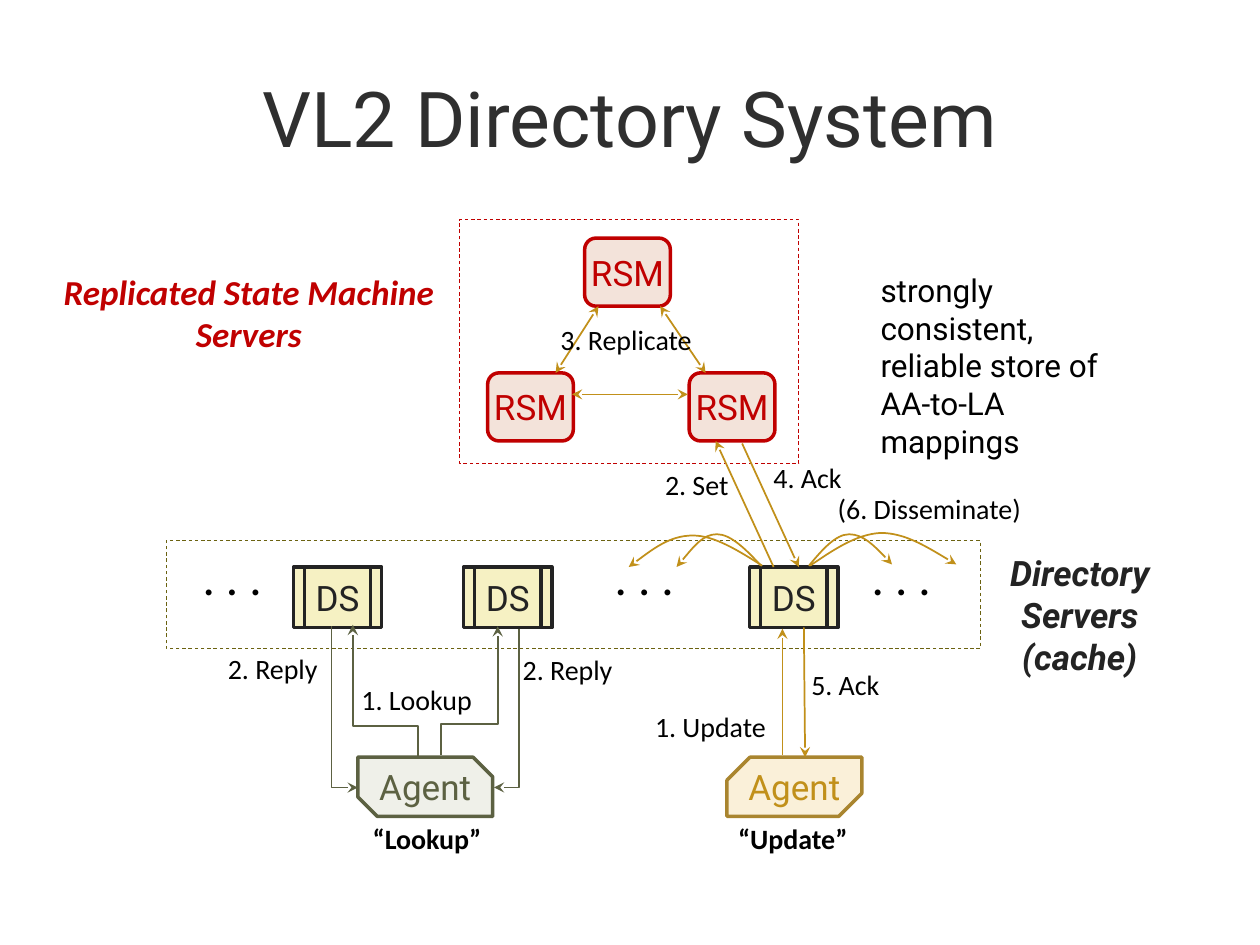
from lxml import etree
from pptx import Presentation
from pptx import util as u
from pptx.dml import color, line as dashes
from pptx.enum import dml, shapes, text
from pptx.oxml import ns

COLOURS = {
    "title": "2F2F2F", "black": "000000", "dark": "232323",
    "red": "C00000", "pink": "F3E3DA", "yellow": "F6F1C3",
    "olive": "6B6210", "green": "5C6142", "pale_green": "EFF0E9",
    "gold": "C1901A", "dark_gold": "A9852F", "cream": "FAF0D9",
}
KINDS = shapes.MSO_SHAPE
LINKS = shapes.MSO_CONNECTOR
CENTRE = text.PP_ALIGN.CENTER
LEFT = text.PP_ALIGN.LEFT


class Diagram:
    def __init__(self, page):
        self.page = page

    def colour(self, name):
        return color.RGBColor.from_string(COLOURS[name])

    def set_wording(self, shape, wording, size, font, colour, align, bold=False, italic=False):
        shape.text_frame.text = wording
        for para in shape.text_frame.paragraphs:
            para.alignment = align
            for span in para.runs:
                span.font.size = u.Pt(size)
                span.font.name = font
                span.font.bold = bold
                span.font.italic = italic
                span.font.color.rgb = self.colour(colour)

    def label(self, wording, left, top, width, height=0.43, size=16, font="Calibri",
              colour="black", align=LEFT, bold=False, italic=False, wrap=False, middle=False):
        box = self.page.shapes.add_textbox(*map(u.Inches, (left, top, width, height)))
        box.text_frame.word_wrap = wrap
        if middle:
            box.text_frame.vertical_anchor = text.MSO_ANCHOR.MIDDLE
        self.set_wording(box, wording, size, font, colour, align, bold, italic)

    def stroke(self, shape, colour, width, head=False, tail=False):
        shape.line.color.rgb = self.colour(colour)
        shape.line.width = u.Pt(width)
        outline = shape.element.spPr.find(ns.qn("a:ln"))
        for tag, wanted in (("a:headEnd", head), ("a:tailEnd", tail)):
            if wanted:
                etree.SubElement(outline, ns.qn(tag), type="stealth")

    def node(self, kind, wording, left, top, width, height, fill, edge, ink, corners=()):
        shape = self.page.shapes.add_shape(kind, *map(u.Inches, (left, top, width, height)))
        shape.shadow.inherit = False
        shape.fill.solid()
        shape.fill.fore_color.rgb = self.colour(fill)
        self.stroke(shape, edge, 2)
        for index, value in enumerate(corners):
            shape.adjustments[index] = value
        frame = shape.text_frame
        frame.margin_left = frame.margin_right = frame.margin_top = frame.margin_bottom = 0
        frame.vertical_anchor = text.MSO_ANCHOR.MIDDLE
        frame.word_wrap = False
        self.set_wording(shape, wording, 20, "Roboto", ink, CENTRE)

    def border(self, left, top, width, height, colour):
        shape = self.page.shapes.add_shape(
            KINDS.RECTANGLE, *map(u.Inches, (left, top, width, height)))
        shape.shadow.inherit = False
        shape.fill.background()
        self.stroke(shape, colour, 0.5)
        shape.line.dash_style = dml.MSO_LINE.DASH

    def link(self, kind, start, end, colour, head=False):
        connector = self.page.shapes.add_connector(kind, *map(u.Inches, start + end))
        self.stroke(connector, colour, 1, head, True)
        etree.SubElement(connector.element.spPr, ns.qn("a:effectLst"))
        return connector

    def arrow(self, start, end, both=False):
        self.link(LINKS.STRAIGHT, start, end, "gold", both)

    def elbow(self, start, end, bend=None):
        (x1, y1), (x2, y2) = start, end
        width, height = abs(y2 - y1), abs(x2 - x1)
        left, top = (x1 + x2 - width) / 2, (y1 + y2 - height) / 2
        connector = self.link(LINKS.ELBOW, (left, top), (left + width, top + height), "green")
        properties = connector.element.spPr
        frame = properties.find(ns.qn("a:xfrm"))
        frame.set("rot", str((90 if y2 > y1 else 270) * 60000))
        if (x2 > x1) == (y2 > y1):
            frame.set("flipV", "1")
        geometry = properties.find(ns.qn("a:prstGeom"))
        if bend is None:
            geometry.set("prst", "bentConnector2")
        else:
            guides = geometry.find(ns.qn("a:avLst"))
            etree.SubElement(guides, ns.qn("a:gd"), name="adj1", fmla=f"val {round(bend * 100000)}")

    def curve(self, points, head=False):
        start, *rest = [tuple(map(u.Inches, point)) for point in points]
        builder = self.page.shapes.build_freeform(*start)
        builder.add_line_segments(rest, close=False)
        shape = builder.convert_to_shape()
        outline = shape.element.find(".//" + ns.qn("a:path"))
        steps = outline.findall(ns.qn("a:lnTo"))
        for first in range(0, len(steps), 3):
            bezier = etree.SubElement(outline, ns.qn("a:cubicBezTo"))
            for step in steps[first:first + 3]:
                bezier.append(step[0])
                outline.remove(step)
        shape.shadow.inherit = False
        shape.fill.background()
        self.stroke(shape, "gold", 1, head, not head)


def main():
    deck = Presentation()
    deck.slide_width, deck.slide_height = u.Inches(10), u.Inches(7.5)
    diagram = Diagram(deck.slides.add_slide(deck.slide_layouts[6]))

    diagram.label("VL2 Directory System", 0.5, 0.3, 9, 1.25, 44, "Roboto", "title",
                  CENTRE, wrap=True, middle=True)

    for left, top in ((4.64, 1.89), (3.87, 2.96), (5.47, 2.96)):
        diagram.node(KINDS.ROUNDED_RECTANGLE, "RSM", left, top, 0.68, 0.54,
                     "pink", "red", "red")
    for left in (2.33, 3.68, 5.95):
        diagram.node(KINDS.FLOWCHART_PREDEFINED_PROCESS, "DS", left, 4.5, 0.7, 0.48,
                     "yellow", "dark", "dark")
    for left, fill, edge, ink, corners in (
            (2.84, "pale_green", "green", "green", (0, 0.33)),
            (5.77, "cream", "dark_gold", "gold", (0.39, 0))):
        diagram.node(KINDS.SNIP_2_DIAG_RECTANGLE, "Agent", left, 6.01, 1.07, 0.47,
                     fill, edge, ink, corners)
    for left in (1.51, 4.78, 6.82):
        diagram.label(". . .", left, 4.29, 0.73, 0.66, 28)

    diagram.border(1.32, 4.29, 6.46, 0.86, "olive")
    diagram.border(3.65, 1.74, 2.69, 1.94, "red")

    diagram.label("Directory\vServers\n(cache)", 7.91, 4.33, 1.32, 1.11, 20, "Roboto",
                  "dark", CENTRE, True, True)
    diagram.label("Replicated State Machine\vServers", 0.35, 2.1, 3.25, 0.77, 20, "Calibri",
                  "red", CENTRE, True, True)

    for start, end, bend in (
            ((3.5, 5.99), (3.95, 4.97), 0.24),
            ((3.32, 6), (2.8, 4.96), 0.23),
            ((2.63, 4.97), (2.84, 6.25), None),
            ((4.12, 4.99), (3.92, 6.25), None)):
        diagram.elbow(start, end, bend)

    for start, end in (
            ((6.21, 5.99), (6.21, 4.99)),
            ((6.14, 4.5), (5.68, 3.5)),
            ((5.89, 3.52), (6.34, 4.5)),
            ((6.38, 4.98), (6.39, 6.01))):
        diagram.arrow(start, end)
    for start, end in (
            ((5.6, 2.96), (5.24, 2.43)),
            ((4.75, 2.43), (4.41, 2.96)),
            ((5.46, 3.13), (4.54, 3.13))):
        diagram.arrow(start, end, both=True)

    for head, points in (
            (False, ((6.42, 4.49), (6.52, 4.37), (6.63, 4.24), (6.74, 4.24),
                     (6.85, 4.24), (6.97, 4.36), (7.08, 4.48))),
            (False, ((6.43, 4.49), (6.62, 4.36), (6.8, 4.24), (6.99, 4.23),
                     (7.18, 4.23), (7.39, 4.36), (7.59, 4.48))),
            (True, ((5.37, 4.5), (5.48, 4.37), (5.58, 4.24), (5.69, 4.24),
                    (5.8, 4.24), (5.92, 4.36), (6.04, 4.49))),
            (True, ((4.99, 4.5), (5.15, 4.38), (5.32, 4.25), (5.5, 4.25),
                    (5.67, 4.25), (5.86, 4.37), (6.05, 4.49)))):
        diagram.curve(points, head)

    for wording, left, top, width in (
            ("2. Reply", 4.05, 5.13, 1),
            ("2. Reply", 1.71, 5.12, 1),
            ("1. Lookup", 2.77, 5.37, 1.18),
            ("5. Ack", 6.34, 5.25, 0.81),
            ("2. Set", 5.18, 3.66, 0.77),
            ("4. Ack", 6.04, 3.61, 0.81),
            ("(6. Disseminate)", 6.55, 3.85, 1.81),
            ("3. Replicate", 4.35, 2.51, 1.36),
            ("1. Update", 5.1, 5.58, 1.18)):
        diagram.label(wording, left, top, width)
    for wording, left in (("“Lookup”", 2.86), ("“Update”", 5.76)):
        diagram.label(wording, left, 6.47, 1.17, bold=True)

    diagram.label("strongly consistent,\nreliable store of\nAA-to-LA mappings",
                  6.89, 2.1, 2.27, 1.01, 18, "Roboto", wrap=True)

    deck.save("out.pptx")


if __name__ == "__main__":
    main()
